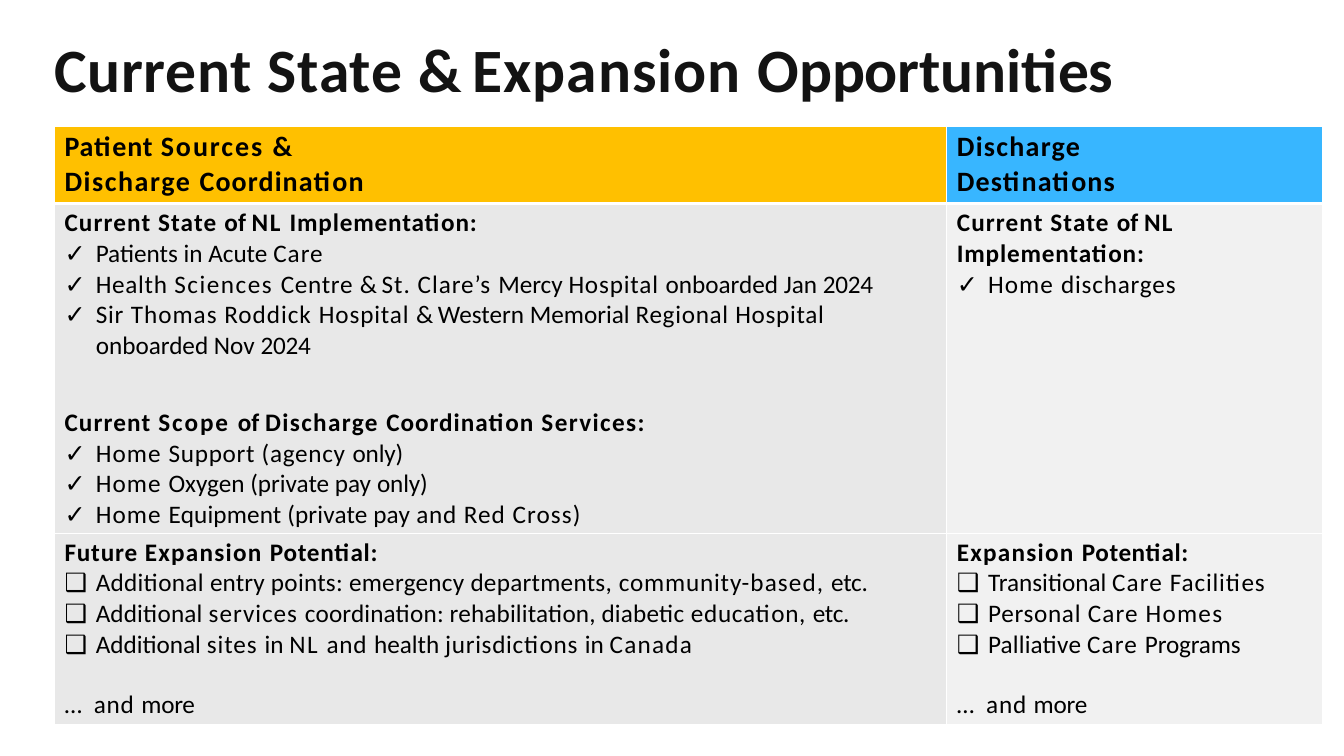
from dataclasses import dataclass

from pptx import Presentation
from pptx.dml.color import RGBColor
from pptx.enum.text import MSO_ANCHOR, MSO_AUTO_SIZE, PP_ALIGN
from pptx.oxml import parse_xml
from pptx.oxml.ns import nsdecls
from pptx.util import Inches, Pt

LEFT = PP_ALIGN.LEFT
TOP = MSO_ANCHOR.TOP
NO_AUTOSIZE = MSO_AUTO_SIZE.NONE
TITLE_ONLY_LAYOUT = 5
CHECK, BOX = "✓", "❑"


@dataclass(frozen=True)
class Theme:
    """Colours, type sizes and spacings of the slide."""
    font: str = "Calibri"
    title_size: float = 44
    header_size: float = 20
    body_size: float = 18
    title_color: str = "131313"
    text_color: str = "000000"
    border_color: str = "FFFFFF"
    header_fills: tuple = ("FFC000", "38B6FF")
    column_fills: tuple = ("E8E8E8", "F1F1F1")
    thin_border: float = 1
    header_border: float = 3
    cell_lead: float = 2.2
    section_gap: float = 32.9
    closing_gap: float = 20.8
    text_indent: float = 0.1
    bullet_indent: float = 0.41
    bullet_hang: float = 0.31


THEME = Theme()


def heading(*runs, before=THEME.cell_lead):
    """Describe a bold heading line made of (text, tracking) runs."""
    return dict(runs=runs, bold=True, before=before)


def bullets(mark, *items):
    """Describe a list whose items share one bullet mark."""
    return [dict(runs=runs, bullet=mark) for runs in items]


TITLE = [("Current ", 0.5), ("State ", 0.6), ("& ", -2.2), ("Expansion ", 0.7),
         ("Opportunities", -0.1)]
CLOSING = dict(runs=[("… ", 2.2), ("and ", 0.6), ("more", -0.2)], before=THEME.closing_gap)
HEADERS = [
    [heading(("Patient ", 0.6), ("Sources ", 1.4), ("&", -0.5)),
     heading(("Discharge ", 1.1), ("Coordination", 0.8), before=0)],
    [heading(("Discharge", 0.9)), heading(("Destinations", 0.8), before=0)],
]
CURRENT_STATE = [
    [
        heading(("Current State ", 0.8), ("of ", 0), ("NL ", 1.2), ("Implementation:", 0.6)),
        *bullets(
            CHECK,
            [("Patients in Acute ", 0), ("Care", 0.7)],
            [("Health ", 0.5), ("Sciences ", 1.1), ("Centre ", 0.5), ("& ", -0.8),
             ("St. Clare’s ", 0.7), ("Mercy ", 0), ("Hospital ", 0.6),
             ("onboarded Jan ", 0), ("2024", -0.2)],
            [("Sir ", 0.6), ("Thomas Roddick ", 0.7), ("Hospital ", 0.6), ("& ", -0.8),
             ("Western Memorial ", 0), ("Regional Hospital \t", 0.5),
             ("onboarded Nov ", 0), ("2024", -0.2)],
        ),
        heading(("Current ", 0.8), ("Scope ", 1.4), ("of ", 0), ("Discharge ", 1),
                ("Coordination ", 0.7), ("Services:", 1), before=THEME.section_gap),
        *bullets(
            CHECK,
            [("Home ", 0.8), ("Support (agency ", 0.5), ("only)", -0.1)],
            [("Home ", 0.8), ("Oxygen (private pay ", 0), ("only)", -0.1)],
            [("Home ", 0.8), ("Equipment (private pay ", 0.1), ("and ", 0.6), ("Red ", 0.7),
             ("Cross)", 0.8)],
        ),
    ],
    [
        heading(("Current State ", 0.8), ("of ", 0), ("NL ", 1), ("Implementation:", 0.6)),
        *bullets(CHECK, [("Home ", 0.8), ("discharges", 0.6)]),
    ],
]
EXPANSION = [
    [
        heading(("Future ", 0.6), ("Expansion ", 0.9), ("Potential:", 0.5)),
        *bullets(
            BOX,
            [("Additional ", 0.2), ("entry ", 0.1), ("points: emergency departments, ", 0.2),
             ("community-", 0.6), ("based, ", 0.8), ("etc.", -0.2)],
            [("Additional ", 0.1), ("services ", 0.7),
             ("coordination: rehabilitation, diabetic ", 0.1), ("education, ", 0.5),
             ("etc.", -0.2)],
            [("Additional ", 0), ("sites ", 0.7), ("in ", 0), ("NL ", 1.1), ("and ", 0.6),
             ("health ", 0), ("jurisdictions ", 0.5), ("in ", 0), ("Canada", 0.9)],
        ),
        CLOSING,
    ],
    [
        heading(("Expansion ", 0.9), ("Potential:", 0.4)),
        *bullets(
            BOX,
            [("Transitional ", 0), ("Care ", 0.8), ("Facilities", 0.6)],
            [("Personal ", 0.5), ("Care ", 0.8), ("Homes", 0.9)],
            [("Palliative ", 0.1), ("Care ", 0.8), ("Programs", -0.1)],
        ),
        CLOSING,
    ],
]


def write_text(paragraph, runs, size=THEME.body_size, color=THEME.text_color, bold=False,
               before=0, indent=THEME.text_indent, bullet=None):
    """Fill a paragraph with (text, tracking) runs in the given format."""
    paragraph.alignment = LEFT
    paragraph.space_before = Pt(before)
    properties = paragraph._p.get_or_add_pPr()
    properties.set("marL", str(Inches(THEME.bullet_indent if bullet else indent)))
    properties.set("indent", str(-Inches(THEME.bullet_hang) if bullet else 0))
    if bullet:
        stop = Inches(THEME.bullet_indent)
        for element in (f'buFont {nsdecls("a")} typeface="{THEME.font}"',
                        f'buChar {nsdecls("a")} char="{bullet}"'):
            properties.append(parse_xml(f"<a:{element}/>"))
        properties.append(parse_xml(
            f'<a:tabLst {nsdecls("a")}><a:tab pos="{stop}" algn="l"/></a:tabLst>'))
    for text, tracking in runs:
        run = paragraph.add_run()
        run.text = text
        run.font.name = THEME.font
        run.font.size = Pt(size)
        run.font.bold = bold
        run.font.color.rgb = RGBColor.from_string(color)
        run._r.get_or_add_rPr().set("spc", str(round(tracking * 100)))


def set_borders(cell, top, bottom):
    """Draw the four borders of a cell, with widths in points for top and bottom."""
    widths = dict(L=THEME.thin_border, R=THEME.thin_border, T=top, B=bottom)
    properties = cell._tc.get_or_add_tcPr()
    for position, (side, width) in enumerate(widths.items()):
        properties.insert(position, parse_xml(
            f'<a:ln{side} {nsdecls("a")} w="{Pt(width)}"><a:solidFill>'
            f'<a:srgbClr val="{THEME.border_color}"/></a:solidFill></a:ln{side}>'))


def fill_cell(cell, lines, fill, size, top, bottom):
    """Format one table cell and write its lines."""
    cell.margin_left = cell.margin_right = cell.margin_bottom = 0
    cell.margin_top = Inches(0.04)
    cell.vertical_anchor = TOP
    cell.fill.solid()
    cell.fill.fore_color.rgb = RGBColor.from_string(fill)
    set_borders(cell, top, bottom)
    frame = cell.text_frame
    for index, line in enumerate(lines):
        paragraph = frame.add_paragraph() if index else frame.paragraphs[0]
        write_text(paragraph, size=size, **line)


def add_title(slide, box):
    """Place the slide title in its box."""
    title = slide.shapes.title
    title.left, title.top, title.width, title.height = map(Inches, box)
    frame = title.text_frame
    frame.margin_left = frame.margin_right = frame.margin_bottom = 0
    frame.margin_top = Inches(0.01)
    frame.word_wrap = True
    frame.auto_size = NO_AUTOSIZE
    frame.vertical_anchor = TOP
    write_text(frame.paragraphs[0], TITLE, size=THEME.title_size, color=THEME.title_color,
               bold=True, before=1, indent=0.01)


def add_opportunity_table(slide, box, column_widths, row_heights):
    """Place the table in its box, with a narrow unfilled row at its foot."""
    frame = slide.shapes.add_table(len(row_heights), len(column_widths), *map(Inches, box))
    table = frame.table
    table.horz_banding = False
    for column, width in zip(table.columns, column_widths):
        column.width = Inches(width)
    for row, height in zip(table.rows, row_heights):
        row.height = Inches(height)
    for row_index, cells in enumerate([HEADERS, CURRENT_STATE, EXPANSION]):
        is_header = row_index == 0
        fills = THEME.header_fills if is_header else THEME.column_fills
        size = THEME.header_size if is_header else THEME.body_size
        top = THEME.header_border if row_index == 1 else THEME.thin_border
        bottom = THEME.header_border if is_header else THEME.thin_border
        for column_index, lines in enumerate(cells):
            fill_cell(table.cell(row_index, column_index), lines, fills[column_index],
                      size, top, bottom)
    for cell in table.rows[len(row_heights) - 1].cells:
        cell.margin_top = cell.margin_bottom = 0
        cell.text_frame.paragraphs[0].font.size = Pt(6)
        cell.fill.background()


def main():
    """Build and save the presentation."""
    presentation = Presentation()
    presentation.slide_width, presentation.slide_height = Inches(13.33), Inches(7.5)
    slide = presentation.slides.add_slide(presentation.slide_layouts[TITLE_ONLY_LAYOUT])
    columns, rows = (8.85, 3.73), (0.77, 3.27, 1.9, 0.14)
    add_title(slide, (0.53, 0.3, 10.56, 0.76))
    add_opportunity_table(slide, (0.54, 1.25, sum(columns), sum(rows)), columns, rows)
    presentation.save("out.pptx")


if __name__ == "__main__":
    main()
